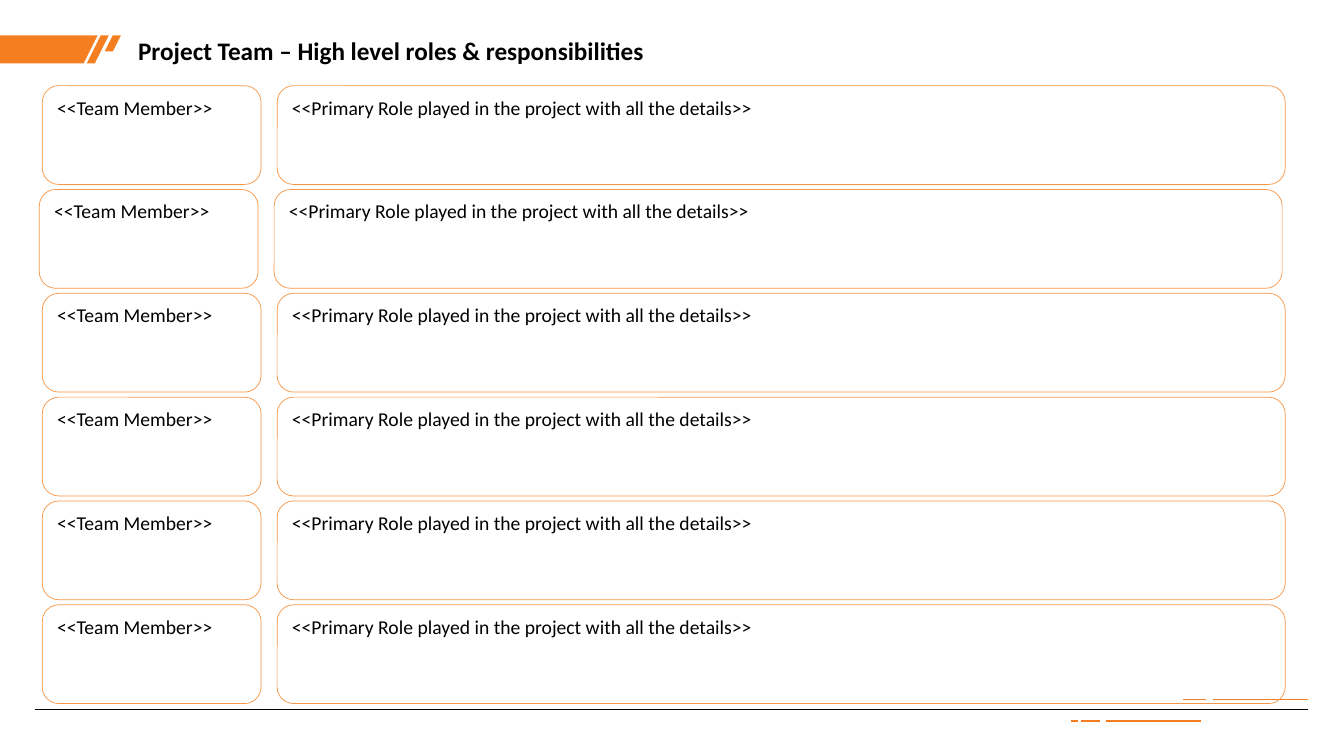
from lxml import etree
from pptx import Presentation
from pptx.dml.color import RGBColor
from pptx.enum.shapes import MSO_CONNECTOR, MSO_SHAPE
from pptx.enum.text import MSO_ANCHOR, PP_ALIGN
from pptx.oxml.ns import qn
from pptx.util import Pt

STRAIGHT = MSO_CONNECTOR.STRAIGHT
ROUNDED = MSO_SHAPE.ROUNDED_RECTANGLE
TOP, MIDDLE = MSO_ANCHOR.TOP, MSO_ANCHOR.MIDDLE
LEFT = PP_ALIGN.LEFT

# Content
TITLE = "Project Team – High level roles & responsibilities"
MEMBER, ROLE = "<<Team Member>>", "<<Primary Role played in the project with all the details>>"
TEAM = [(MEMBER, ROLE)] * 6
FONT = "Calibri"
COLORS = {"text": "000000", "flag": "F47E20", "dash": "F57D21", "box": "F79646"}

# Geometry in points
COLUMNS = [(30.24, 156.24), (198, 720)]  # left, width
ROW_TOP, ROW_HEIGHT, ROW_PITCH = 61.2, 70.56, 74.16
ROW_SHIFTS = {1: -2.16}  # the second row sits slightly to the left
FLAG = [
    [(69.84, 25.2), (0, 25.2), (0, 45.36), (59.76, 45.36)],
    [(77.76, 25.2), (72, 25.2), (61.92, 45.36), (67.68, 45.36)],
    [(86.4, 25.2), (80.64, 25.2), (74.88, 36.72), (80.64, 36.72)],
]
FOOTER_LINES = [  # start, end, height on the page, colour
    (25.2, 934.56, 506.88, "text"),
    (866.16, 934.56, 499.68, "dash"),
    (845.28, 861.12, 499.68, "dash"),
    (789.84, 858.24, 514.8, "dash"),
    (771.84, 785.52, 514.8, "dash"),
    (765.36, 769.68, 514.8, "dash"),
]


def color(name):
    return RGBColor.from_string(COLORS[name])


def write(shape, text, size=14, bold=False, anchor=TOP):
    frame = shape.text_frame
    frame.word_wrap = True
    frame.vertical_anchor = anchor
    para = frame.paragraphs[0]
    para.alignment = LEFT
    span = para.add_run()
    span.text = text
    span.font.name = FONT
    span.font.size = Pt(size)
    span.font.bold = bold
    span.font.color.rgb = color("text")


def add_flag(page):
    start = [Pt(value) for value in FLAG[0][0]]
    builder = page.shapes.build_freeform(*start, scale=1.0)
    for number, outline in enumerate(FLAG):
        points = [(Pt(x), Pt(y)) for x, y in outline]
        if number:
            builder.move_to(*points[0])
        builder.add_line_segments(points[1:], close=True)
    flag = builder.convert_to_shape()
    flag.shadow.inherit = False
    flag.fill.solid()
    flag.fill.fore_color.rgb = color("flag")
    flag.line.fill.background()


def add_line(page, start, end, y, name):
    line = page.shapes.add_connector(STRAIGHT, Pt(start), Pt(y), Pt(end), Pt(y))
    line.line.color.rgb = color(name)
    line.line.width = Pt(1.25)
    etree.SubElement(line._element.spPr, qn("a:effectLst"))


def add_box(page, left, top, width, text):
    box = page.shapes.add_shape(ROUNDED, Pt(left), Pt(top), Pt(width), Pt(ROW_HEIGHT))
    box.shadow.inherit = False
    box.fill.background()
    box.line.color.rgb = color("box")
    box.line.width = Pt(0.5)
    write(box, text)


def main():
    deck = Presentation()
    deck.slide_width, deck.slide_height = Pt(960), Pt(540)
    page = deck.slides.add_slide(deck.slide_layouts[5])

    # Title
    title = page.shapes.title
    title.left, title.top, title.width, title.height = Pt(91.44), Pt(18), Pt(518.4), Pt(36.72)
    write(title, TITLE, size=18, bold=True, anchor=MIDDLE)

    # Header flag and footer lines
    add_flag(page)
    for footer_line in FOOTER_LINES:
        add_line(page, *footer_line)

    # Team rows
    for row, texts in enumerate(TEAM):
        top = ROW_TOP + row * ROW_PITCH
        for (left, width), text in zip(COLUMNS, texts):
            add_box(page, left + ROW_SHIFTS.get(row, 0), top, width, text)

    deck.save("out.pptx")


if __name__ == "__main__":
    main()
